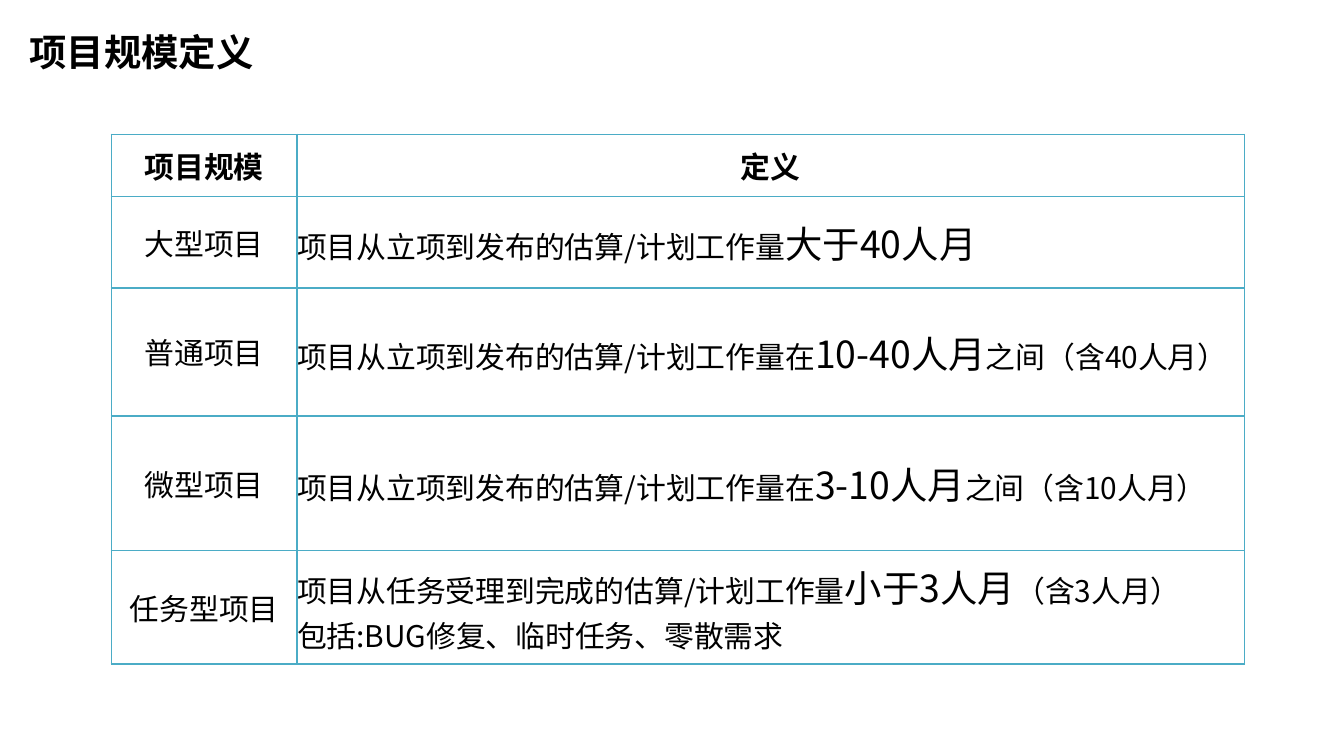
from lxml.etree import SubElement
from pptx import Presentation
from pptx.dml.color import RGBColor
from pptx.enum.text import MSO_ANCHOR as ANCHOR, MSO_AUTO_SIZE as AUTO_SIZE, PP_ALIGN as ALIGN
from pptx.oxml.ns import qn
from pptx.util import Inches, Pt

COLORS = {"text": "000000", "border": "4BACC6"}
FONT = "Noto Sans CJK SC"
FORMATS = {
    "title": {"size": Pt(20), "bold": True},
    "header": {"size": Pt(16), "bold": True},
    "body": {"size": Pt(16), "bold": False},
    "key": {"size": Pt(20), "bold": False},
}
COLUMN_WIDTHS = [1.38, 7.05]
ROW_HEIGHTS = [0.46, 0.68, 0.95, 1, 0.84]

# Each cell is a list of paragraphs; each paragraph a list of (text, format)
EFFORT = "项目从立项到发布的估算/计划工作量"
HEADERS = ["项目规模", "定义"]
SIZES = [
    ("大型项目", [[(EFFORT, "body"), ("大于40人月", "key")]]),
    ("普通项目", [[(EFFORT + "在", "body"), ("10-40人月", "key"), ("之间（含40人月）", "body")]]),
    ("微型项目", [[(EFFORT + "在", "body"), ("3-10人月", "key"), ("之间（含10人月）", "body")]]),
    ("任务型项目", [
        [("项目从任务受理到完成的估算/计划工作量", "body"), ("小于3人月", "key"), ("（含3人月）", "body")],
        [("包括:BUG修复、临时任务、零散需求", "body")],
    ]),
]


def write_text(frame, paragraphs, align=ALIGN.LEFT):
    for index, spans in enumerate(paragraphs):
        para = frame.paragraphs[0] if index == 0 else frame.add_paragraph()
        para.alignment = align
        for text, style in spans:
            span = para.add_run()
            span.text = text
            for name, value in FORMATS[style].items():
                setattr(span.font, name, value)
            span.font.color.rgb = RGBColor.from_string(COLORS["text"])
            span.font.name = FONT
            SubElement(span.font._element, qn("a:ea"), typeface=FONT)


def draw_borders(cell):
    properties = cell._tc.get_or_add_tcPr()
    for side in ("lnL", "lnR", "lnT", "lnB"):
        line = SubElement(properties, qn(f"a:{side}"), w=str(Pt(1)))
        fill = SubElement(line, qn("a:solidFill"))
        SubElement(fill, qn("a:srgbClr"), val=COLORS["border"])


def fill_cell(cell, paragraphs, align):
    cell.vertical_anchor = ANCHOR.MIDDLE
    for side in ("left", "right", "top", "bottom"):
        setattr(cell, f"margin_{side}", 0)
    draw_borders(cell)
    cell.fill.background()
    write_text(cell.text_frame, paragraphs, align)


def add_title(page, left, top, width, height):
    box = page.shapes.add_textbox(Inches(left), Inches(top), Inches(width), Inches(height))
    frame = box.text_frame
    frame.word_wrap = False
    frame.auto_size = AUTO_SIZE.SHAPE_TO_FIT_TEXT
    write_text(frame, [[("项目规模定义", "title")]])


def add_size_table(page, left, top, width, height):
    table = page.shapes.add_table(
        len(ROW_HEIGHTS), len(COLUMN_WIDTHS),
        Inches(left), Inches(top), Inches(width), Inches(height),
    ).table
    table.horz_banding = False
    for column, share in zip(table.columns, COLUMN_WIDTHS):
        column.width = Inches(width * share / sum(COLUMN_WIDTHS))
    for row, share in zip(table.rows, ROW_HEIGHTS):
        row.height = Inches(height * share / sum(ROW_HEIGHTS))

    # Header row
    for index, text in enumerate(HEADERS):
        fill_cell(table.cell(0, index), [[(text, "header")]], ALIGN.CENTER)

    # One row per project size
    for index, (name, definition) in enumerate(SIZES, start=1):
        fill_cell(table.cell(index, 0), [[(name, "body")]], ALIGN.CENTER)
        fill_cell(table.cell(index, 1), definition, ALIGN.LEFT)


def main():
    deck = Presentation()
    # Widescreen, 16 to 9
    deck.slide_width = Inches(10)
    deck.slide_height = Inches(10 * 9 / 16)
    page = deck.slides.add_slide(deck.slide_layouts[6])
    add_title(page, 0.12, 0.17, 1.97, 0.44)
    add_size_table(page, 0.83, 1, 8.43, 3.94)
    deck.save("out.pptx")


if __name__ == "__main__":
    main()
